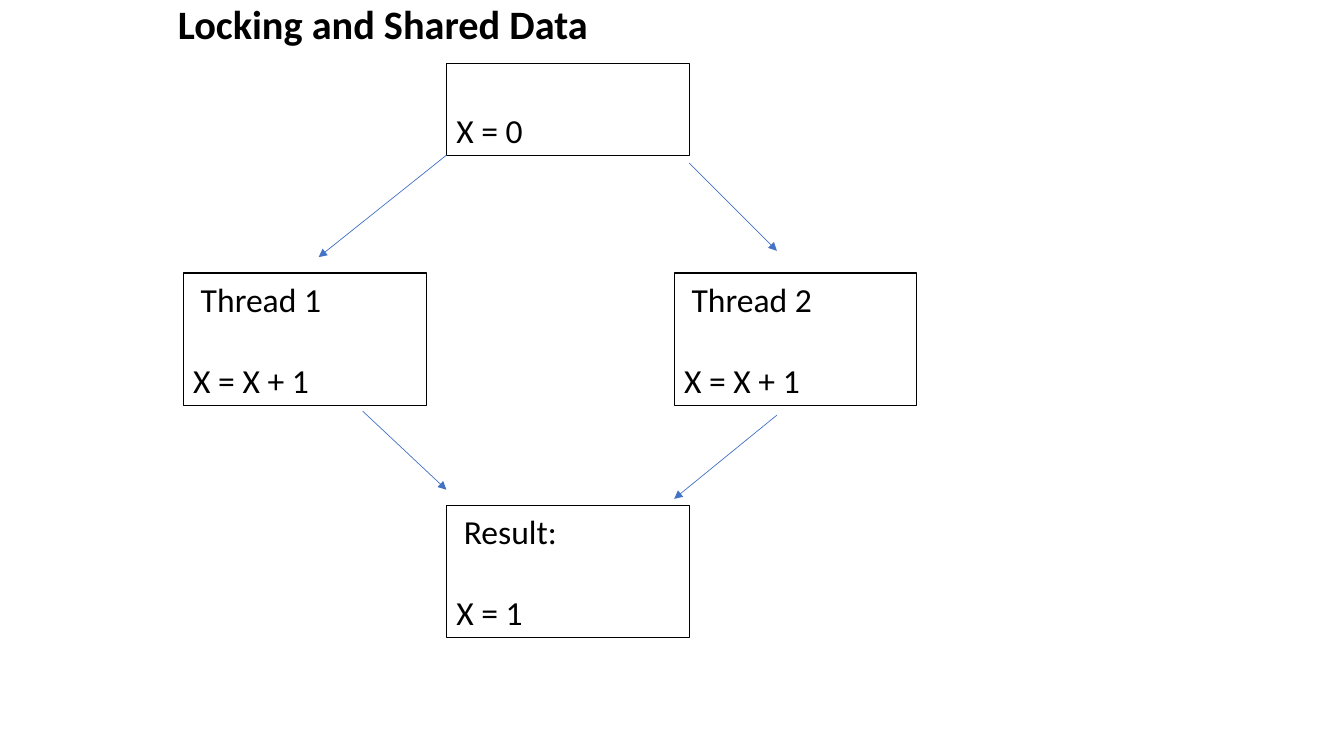
from dataclasses import dataclass

from lxml.etree import SubElement
from pptx import Presentation
from pptx.dml.color import RGBColor
from pptx.enum.shapes import MSO_CONNECTOR, MSO_SHAPE
from pptx.enum.text import MSO_ANCHOR, MSO_AUTO_SIZE, PP_ALIGN
from pptx.oxml.ns import qn
from pptx.util import Cm, Pt


@dataclass(frozen=True)
class Theme:
    font: str = "Calibri"
    title_size: float = 28.8
    body_size: float = 24
    ink: str = "000000"
    arrow: str = "4472C4"
    background: str = "FFFFFF"
    box_line: float = 0.75
    arrow_line: float = 0.5
    blank_line: float = 29.3


def write(p, text, *, font, size, color, bold=False, indent=0, before=0, spacing=1.0):
    p.alignment = PP_ALIGN.LEFT
    p.space_before = Pt(before)
    p.line_spacing = spacing
    pPr = p._p.get_or_add_pPr()
    pPr.set("marL", str(Cm(indent)))
    pPr.set("indent", "0")
    r = p.add_run()
    r.text = text
    r.font.name = font
    r.font.size = Pt(size)
    r.font.bold = bold
    r.font.color.rgb = RGBColor.from_string(color)


class SlideBuilder:
    def __init__(self, slide, theme):
        self.slide = slide
        self.theme = theme
        fill = slide.background.fill
        fill.solid()
        fill.fore_color.rgb = RGBColor.from_string(theme.background)

    def title(self, text, left, top, width, height):
        sp = self.slide.shapes.title
        sp.left, sp.top, sp.width, sp.height = map(Cm, (left, top, width, height))
        tf = sp.text_frame
        tf.word_wrap = True
        tf.auto_size = MSO_AUTO_SIZE.NONE
        tf.vertical_anchor = MSO_ANCHOR.MIDDLE
        write(tf.paragraphs[0], text, font=self.theme.font, size=self.theme.title_size,
              color=self.theme.ink, bold=True, spacing=0.9)

    def box(self, heading, statement, left, top, width, height):
        sp = self.slide.shapes.add_shape(
            MSO_SHAPE.RECTANGLE, *map(Cm, (left, top, width, height)))
        sp.shadow.inherit = False
        sp.fill.background()
        sp.line.color.rgb = RGBColor.from_string(self.theme.ink)
        sp.line.width = Pt(self.theme.box_line)
        tf = sp.text_frame
        tf.word_wrap = True
        tf.vertical_anchor = MSO_ANCHOR.BOTTOM
        style = dict(font=self.theme.font, size=self.theme.body_size, color=self.theme.ink)
        p = tf.paragraphs[0]
        if heading:
            write(p, heading, indent=0.19, **style)
            p = tf.add_paragraph()
        write(p, statement, before=self.theme.blank_line if heading else 0, **style)

    def arrow(self, start, end):
        cxn = self.slide.shapes.add_connector(
            MSO_CONNECTOR.STRAIGHT, *map(Cm, (*start, *end)))
        cxn.line.color.rgb = RGBColor.from_string(self.theme.arrow)
        cxn.line.width = Pt(self.theme.arrow_line)
        SubElement(cxn.line._get_or_add_ln(), qn("a:tailEnd"), type="triangle")
        SubElement(cxn._element.spPr, qn("a:effectLst"))


def main():
    prs = Presentation()
    prs.slide_width, prs.slide_height = Cm(33.87), Cm(19.05)
    slide = prs.slides.add_slide(prs.slide_layouts[5])
    builder = SlideBuilder(slide, Theme())

    builder.title("Locking and Shared Data", 4.23, 0, 23.29, 1.32)

    box_width, short, tall = 6.12, 2.31, 3.33
    left, center, right = 4.62, 11.25, 16.99
    start_top, thread_top, result_top = 1.6, 6.88, 12.73
    for heading, statement, x, y, height in (
        ("Thread 1", "X = X + 1", left, thread_top, tall),
        ("Thread 2", "X = X + 1", right, thread_top, tall),
        ("", "X = 0", center, start_top, short),
        ("Result:", "X = 1", center, result_top, tall),
    ):
        builder.box(heading, statement, x, y, box_width, height)

    for start, end in (
        ((center, start_top + short), (8.03, 6.48)),
        ((center + box_width, 4.11), (19.58, 6.32)),
        ((9.14, 10.36), (center, 12.34)),
        ((19.58, 10.46), (right, 12.57)),
    ):
        builder.arrow(start, end)

    prs.save("out.pptx")


if __name__ == "__main__":
    main()
